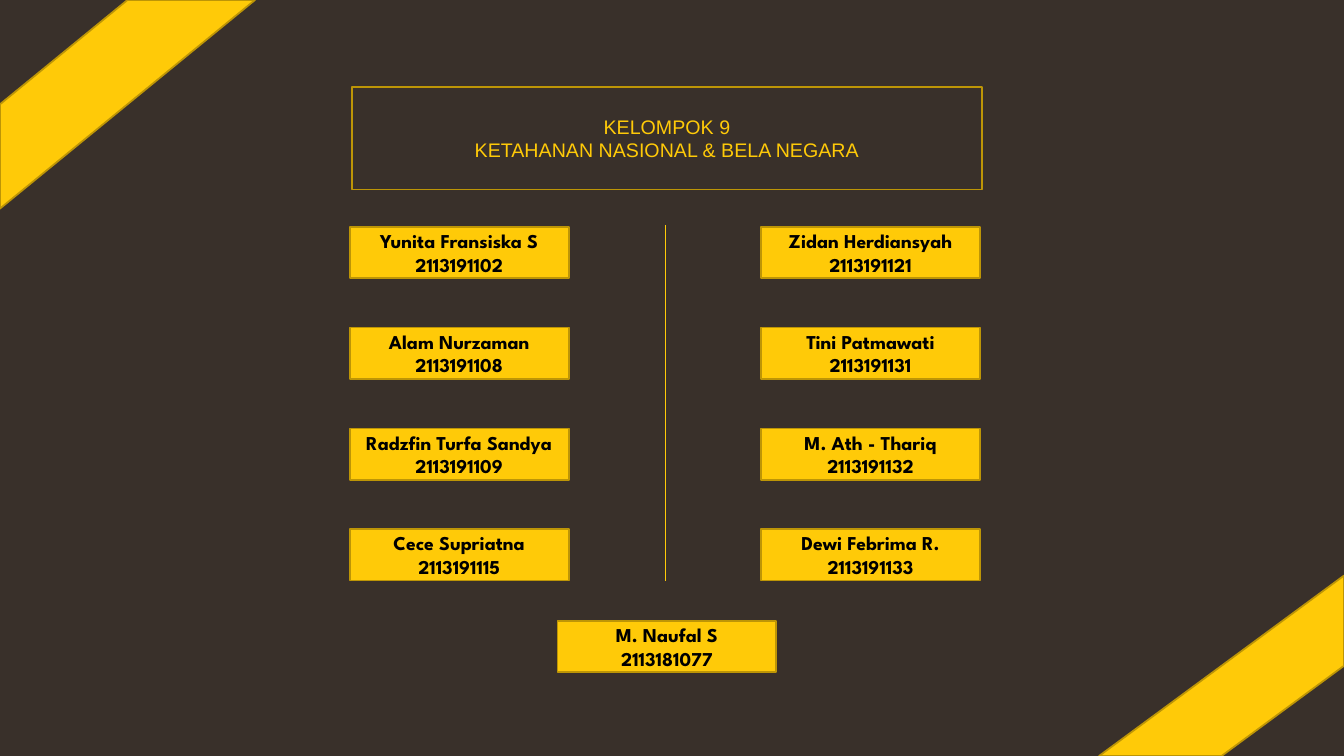
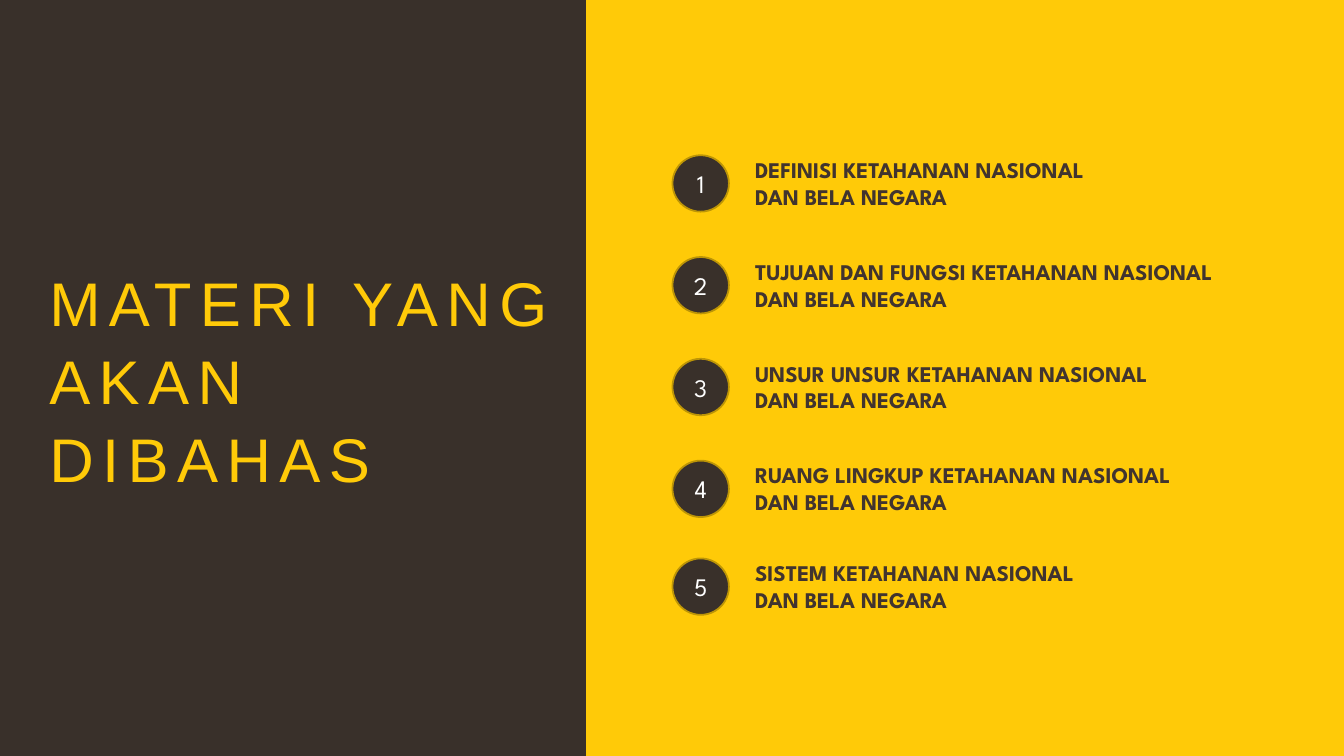
from lxml import etree
from pptx import Presentation
from pptx.dml.color import RGBColor
from pptx.enum import shapes, text
from pptx.oxml import ns
from pptx.util import Inches, Pt

HUES = {"dark": "39302A", "gold": "FFCA08", "edge": "BD9506",
        "ink": "41342F", "black": "000000", "white": "FFFFFF"}
PLAIN, BOLD = "Arial", "League Spartan"
KIND = shapes.MSO_SHAPE


def hue(name):
    return RGBColor.from_string(HUES[name])


class Deck:
    def __init__(self):
        self.file = Presentation()
        self.file.slide_width = Inches(13.33)
        self.file.slide_height = Inches(7.5)
        self.page = None

    def start(self, back):
        self.page = self.file.slides.add_slide(self.file.slide_layouts[6])
        fill = self.page.background.fill
        fill.solid()
        fill.fore_color.rgb = hue(back)

    def label(self, frame, words, size, color, font=BOLD, bold=False,
              align=text.PP_ALIGN.CENTER):
        frame.word_wrap = True
        frame.text = words
        for para in frame.paragraphs:
            para.alignment = align
            para.font.size = Pt(size)
            para.font.name = font
            para.font.bold = bold
            para.font.color.rgb = hue(color)

    def shape(self, kind, x, y, w, h, fill="gold", edge="edge"):
        item = self.page.shapes.add_shape(
            kind, Inches(x), Inches(y), Inches(w), Inches(h))
        item.shadow.inherit = False
        if fill:
            item.fill.solid()
            item.fill.fore_color.rgb = hue(fill)
        else:
            item.fill.background()
        if edge:
            item.line.color.rgb = hue(edge)
            item.line.width = Pt(1.25)
        else:
            item.line.fill.background()
        item.text_frame.vertical_anchor = text.MSO_ANCHOR.MIDDLE
        return item

    def card(self, x, y, name, code):
        box = self.shape(KIND.FLOWCHART_PROCESS, x, y, 2.17, 0.51)
        self.label(box.text_frame, f"{name}\n{code}", 14, "black", bold=True)

    def rule(self, x, top, end):
        line = self.page.shapes.add_connector(
            shapes.MSO_CONNECTOR.STRAIGHT,
            Inches(x), Inches(top), Inches(x), Inches(end))
        line.line.color.rgb = hue("gold")
        line.line.width = Pt(0.75)
        etree.SubElement(line._element.spPr, ns.qn("a:effectLst"))

    def topic(self, y, num, words):
        dot = self.shape(KIND.OVAL, 6.67, y, 0.56, 0.56, "dark")
        self.label(dot.text_frame, str(num), 18, "white")
        box = self.page.shapes.add_textbox(
            Inches(7.39), Inches(y - 0.04), Inches(5.04), Inches(0.64))
        self.label(box.text_frame, words, 16, "ink", bold=True,
                   align=text.PP_ALIGN.LEFT)
        box.text_frame.auto_size = text.MSO_AUTO_SIZE.SHAPE_TO_FIT_TEXT

    def panel(self, words):
        """Full-height dark side panel with a widely spaced title."""
        side = self.shape(KIND.FLOWCHART_PROCESS, 0, 0, 5.81, 7.5,
                          "dark", None)
        self.label(side.text_frame, words, 44, "gold", PLAIN,
                   align=text.PP_ALIGN.LEFT)
        para = side.text_frame.paragraphs[0]
        para.line_spacing = 1.05
        props = para._p.get_or_add_pPr()
        props.set("marL", str(Inches(0.39)))
        props.set("indent", "0")
        para.runs[0]._r.get_or_add_rPr().set("spc", "600")


TEAM = {
    3.47: [("Yunita Fransiska S", "2113191102"),
           ("Alam Nurzaman", "2113191108"),
           ("Radzfin Turfa Sandya", "2113191109"),
           ("Cece Supriatna", "2113191115")],
    7.55: [("Zidan Herdiansyah", "2113191121"),
           ("Tini Patmawati", "2113191131"),
           ("M. Ath - Thariq", "2113191132"),
           ("Dewi Febrima R.", "2113191133")],
}
TOPICS = [
    (1.54, "DEFINISI KETAHANAN NASIONAL\nDAN BELA NEGARA"),
    (2.55, "TUJUAN DAN FUNGSI KETAHANAN NASIONAL DAN BELA NEGARA"),
    (3.56, "UNSUR UNSUR KETAHANAN NASIONAL\nDAN BELA NEGARA"),
    (4.57, "RUANG LINGKUP KETAHANAN NASIONAL\nDAN BELA NEGARA"),
    (5.54, "SISTEM KETAHANAN NASIONAL\nDAN BELA NEGARA"),
]


def team(deck):
    deck.start("dark")
    head = deck.shape(KIND.RECTANGLE, 3.49, 0.86, 6.25, 1.02, None)
    deck.label(head.text_frame,
               "KELOMPOK 9\nKETAHANAN NASIONAL & BELA NEGARA",
               14, "gold", PLAIN)
    deck.rule(6.6, 2.23, 5.76)
    for x, group in TEAM.items():
        for row, (name, code) in enumerate(group):
            deck.card(x, 2.25 + row, name, code)
    deck.card(5.53, 6.16, "M. Naufal S", "2113181077")
    deck.shape(KIND.DIAGONAL_STRIPE, 0, 0, 2.53, 2.07)
    deck.shape(KIND.DIAGONAL_STRIPE, 10.9, 5.71, 2.43, 1.79).rotation = 180


def topics(deck):
    deck.start("gold")
    for num, (y, words) in enumerate(TOPICS, 1):
        deck.topic(y, num, words)
    deck.panel("MATERI YANG AKAN DIBAHAS")


def main():
    deck = Deck()
    team(deck)
    topics(deck)
    deck.file.save("out.pptx")


if __name__ == "__main__":
    main()
